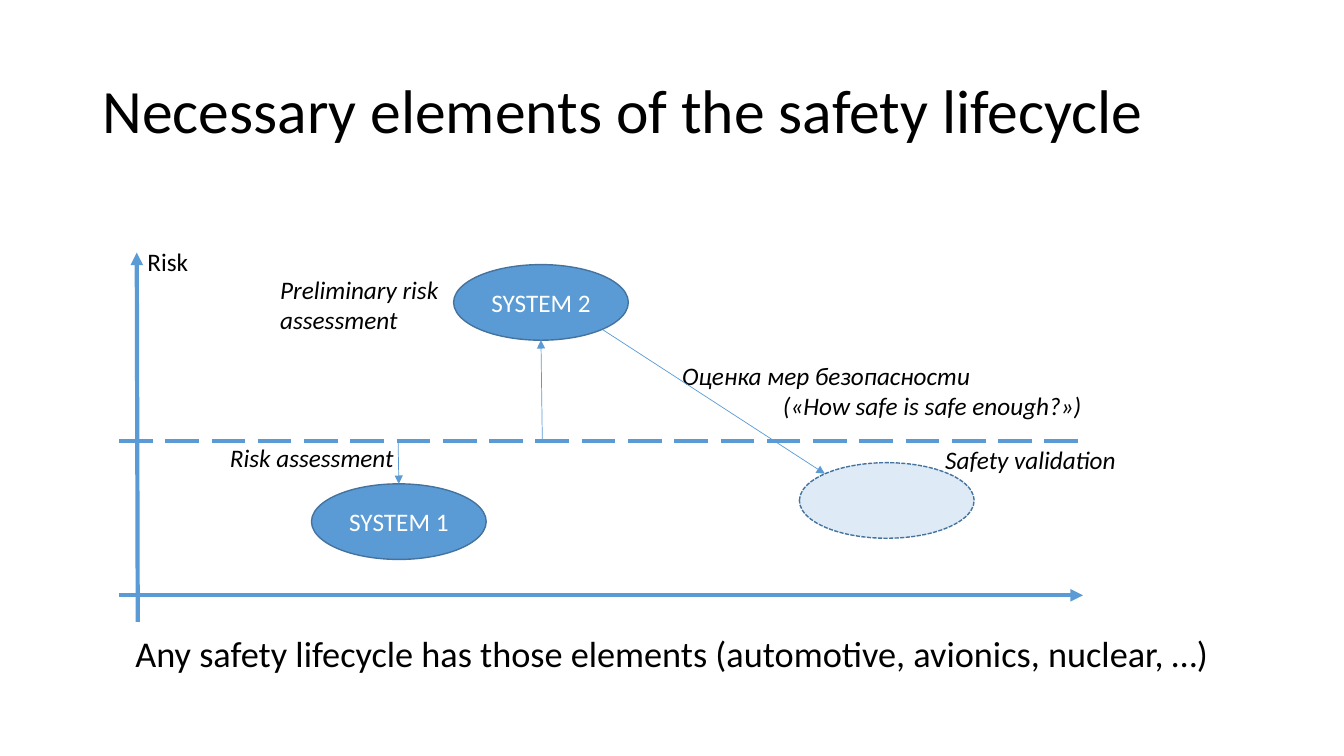
from lxml.etree import SubElement
from pptx import Presentation
from pptx.dml.color import RGBColor
from pptx.enum.dml import MSO_LINE
from pptx.enum.shapes import MSO_CONNECTOR, MSO_SHAPE
from pptx.enum.text import MSO_ANCHOR, PP_ALIGN
from pptx.oxml.ns import qn
from pptx.util import Pt

BLUE, DARK_BLUE, PALE_BLUE = "5B9BD5", "43739E", "DEEBF7"
BLACK, WHITE = "000000", "FFFFFF"


def set_text(sp, text, size, color=BLACK, italic=False, align=PP_ALIGN.LEFT,
             anchor=MSO_ANCHOR.TOP, spacing=1.0):
    tf = sp.text_frame
    tf.text = text
    tf.word_wrap = True
    tf.vertical_anchor = anchor
    for p in tf.paragraphs:
        p.alignment = align
        p.line_spacing = spacing
        p.font.name = "Calibri"
        p.font.size = Pt(size)
        p.font.italic = italic
        p.font.color.rgb = RGBColor.from_string(color)
    return tf


def add_line(x1, y1, x2, y2, width, arrow=True):
    line = s.shapes.add_connector(MSO_CONNECTOR.STRAIGHT, Pt(x1), Pt(y1), Pt(x2), Pt(y2))
    line.line.color.rgb = RGBColor.from_string(BLUE)
    line.line.width = Pt(width)
    if arrow:
        SubElement(line.line._get_or_add_ln(), qn("a:tailEnd"), type="triangle")
    SubElement(line._element.spPr, qn("a:effectLst"))
    return line


prs = Presentation()
prs.slide_width, prs.slide_height = Pt(960), Pt(540)
s = prs.slides.add_slide(prs.slide_layouts[6])

# Title and closing statement
for text, top, height, size, align in [
    ("Necessary elements of the safety lifecycle", 28.8, 104.4, 44, PP_ALIGN.LEFT),
    ("Any safety lifecycle has those elements (automotive, avionics, nuclear, …)",
     448.4, 40, 25.9, PP_ALIGN.CENTER),
]:
    sp = s.shapes.add_textbox(Pt(66.2), Pt(top), Pt(828), Pt(height))
    set_text(sp, text, size, align=align, anchor=MSO_ANCHOR.MIDDLE, spacing=0.9)

# Risk axis, time axis and tolerable risk level
risk_level = 315
add_line(98.4, 444.2, 97.7, 180.4, 3)
add_line(85, 425.2, 773.6, 425.2, 3)
add_line(85, risk_level, 773.3, risk_level, 3, arrow=False).line.dash_style = MSO_LINE.LONG_DASH

# Systems; the planned one is pale and unlabelled
systems = []
for text, left, top, fill, dash in [
    ("SYSTEM 1 ", 222.5, 345.6, BLUE, MSO_LINE.SOLID),
    ("SYSTEM 2 ", 324, 189, BLUE, MSO_LINE.SOLID),
    ("", 571, 330.5, PALE_BLUE, MSO_LINE.SQUARE_DOT),
]:
    sp = s.shapes.add_shape(MSO_SHAPE.OVAL, Pt(left), Pt(top), Pt(124.8), Pt(54))
    sp.shadow.inherit = False
    sp.fill.solid()
    sp.fill.fore_color.rgb = RGBColor.from_string(fill)
    sp.line.color.rgb = RGBColor.from_string(DARK_BLUE)
    sp.line.width = Pt(1)
    sp.line.dash_style = dash
    if text:
        set_text(sp, text, 18, WHITE, align=PP_ALIGN.CENTER, anchor=MSO_ANCHOR.MIDDLE)
    systems.append(sp)

# Labels, with the indent of their last line
for text, left, top, width, height, italic, indent in [
    ("Risk", 98.2, 172.1, 48, 29, False, 0),
    ("Risk assessment", 157.2, 312.5, 136, 29, True, 0),
    ("Preliminary risk\nassessment", 193, 192.2, 132, 51, True, 0),
    ("Оценка мер безопасности\n(«How safe is safe enough?»)", 480.2, 253.8, 306, 51, True, 72),
    ("Safety validation", 668.1, 313.8, 140, 29, True, 0),
]:
    sp = s.shapes.add_textbox(Pt(left), Pt(top), Pt(width), Pt(height))
    tf = set_text(sp, text, 18, italic=italic)
    if indent:
        tf.paragraphs[-1]._p.get_or_add_pPr().set("marL", str(Pt(indent)))

# Moves between the risk level and the systems
add_line(284.4, risk_level, 284.9, 345.6, 0.5).end_connect(systems[0], 0)
add_line(387.4, risk_level, 386.4, 243, 0.5)
add_line(430.5, 235.5, 589.2, 338.4, 0.5)

prs.save("out.pptx")
